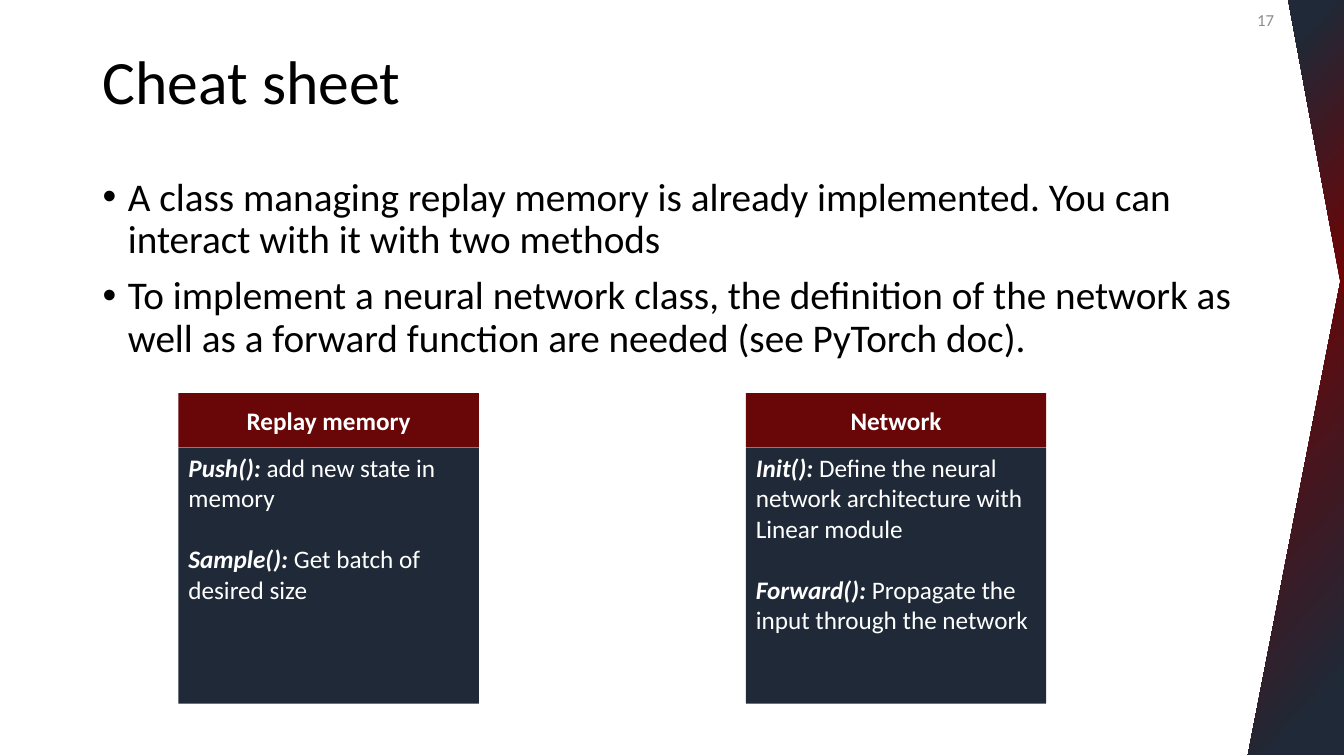
"""Build the cheat sheet slide on replay memory and network classes."""
from dataclasses import dataclass

from lxml import etree
from pptx import Presentation
from pptx.dml.color import RGBColor
from pptx.enum.shapes import MSO_SHAPE
from pptx.enum.text import MSO_ANCHOR, MSO_AUTO_SIZE, PP_ALIGN
from pptx.oxml.ns import qn
from pptx.util import Inches, Pt

RECTANGLE, TRIANGLE = MSO_SHAPE.RECTANGLE, MSO_SHAPE.ISOSCELES_TRIANGLE
TOP, MIDDLE = MSO_ANCHOR.TOP, MSO_ANCHOR.MIDDLE
LEFT, CENTER, RIGHT = PP_ALIGN.LEFT, PP_ALIGN.CENTER, PP_ALIGN.RIGHT
NO_AUTOFIT = MSO_AUTO_SIZE.NONE
TITLE_ONLY = 5
FONT = "Calibri"
COLORS = {
    "ink": "000000", "paper": "FFFFFF", "number": "8C8C8C",
    "navy": "1F2937", "header": "680608", "glow": "740000",
}
WIDTH, HEIGHT = Inches(13.33), Inches(7.5)


@dataclass(frozen=True)
class Area:
    """Place on the slide in percent of its width and height."""
    left: float
    top: float
    width: float
    height: float

    def box(self) -> tuple[int, int, int, int]:
        """Return the place in slide units."""
        return (int(WIDTH * self.left / 100), int(HEIGHT * self.top / 100),
                int(WIDTH * self.width / 100), int(HEIGHT * self.height / 100))


@dataclass(frozen=True)
class Wedge:
    """Gradient triangle on the right edge."""
    area: Area
    apex: float
    rotation: float


@dataclass(frozen=True)
class Card:
    """Class name with its methods and their descriptions."""
    left: float
    name: str
    methods: tuple[tuple[str, str], ...]


CARD_WIDTH, CARD_TOP, HEADER_HEIGHT, DETAILS_HEIGHT = 22.35, 52, 7.2, 33.87
TITLE_AREA = Area(6.9, 1.47, 86.25, 19.33)
NUMBER_AREA = Area(73.05, 0, 22.5, 5.33)
POINTS_AREA = Area(6.9, 22.8, 86.25, 74.13)
WEDGES = (
    Wedge(Area(92.85, 34.93, 7.13, 64.93), 1, 0),
    Wedge(Area(95.85, 0, 4.17, 40.13), 0, 180),
)
POINTS = (
    "A class managing replay memory is already implemented. "
    "You can interact with it with two methods",
    "To implement a neural network class, the definition of the network "
    "as well as a forward function are needed (see PyTorch doc).",
)
CARDS = (
    Card(13.28, "Replay memory", (
        ("Push(): ", "add new state in memory"),
        ("Sample(): ", "Get batch of desired size"),
    )),
    Card(55.5, "Network", (
        ("Init(): ", "Define the neural network architecture with Linear module"),
        ("Forward(): ", "Propagate the input through the network"),
    )),
)


def rgb(name: str) -> RGBColor:
    """Return a named colour."""
    return RGBColor.from_string(COLORS[name])


def add_run(paragraph, text: str, size: float, color: str,
            bold: bool = False, italic: bool = False) -> None:
    """Add one formatted run."""
    run = paragraph.add_run()
    run.text = text
    run.font.name, run.font.size = FONT, Pt(size)
    run.font.bold, run.font.italic = bold, italic
    run.font.color.rgb = rgb(color)


def prepare(frame, anchor, align):
    """Set up a text frame and return its first paragraph."""
    frame.word_wrap, frame.auto_size = True, NO_AUTOFIT
    frame.vertical_anchor = anchor
    first = frame.paragraphs[0]
    first.alignment = align
    return first


def add_bullet(paragraph) -> None:
    """Give a paragraph a hanging round bullet."""
    properties = paragraph._p.get_or_add_pPr()
    properties.set("marL", str(Inches(0.25)))
    properties.set("indent", str(-Inches(0.25)))
    etree.SubElement(properties, qn("a:buFont")).set("typeface", "Arial")
    etree.SubElement(properties, qn("a:buChar")).set("char", "•")


def add_plain_shape(slide, kind, area: Area):
    """Add a shape without line or shadow."""
    shape = slide.shapes.add_shape(kind, *area.box())
    shape.shadow.inherit = False
    shape.line.fill.background()
    return shape


def add_wedge(slide, wedge: Wedge) -> None:
    """Draw one edge triangle."""
    triangle = add_plain_shape(slide, TRIANGLE, wedge.area)
    triangle.adjustments[0] = wedge.apex
    triangle.rotation = wedge.rotation
    triangle.fill.gradient()
    triangle.fill.gradient_angle = 318
    stops = ((0, "glow"), (0.88, "navy"))
    for stop, (position, color) in zip(triangle.fill.gradient_stops, stops):
        stop.position = position
        stop.color.rgb = rgb(color)


def add_panel(slide, area: Area, color: str, anchor, align):
    """Draw a filled panel and return its text frame."""
    panel = add_plain_shape(slide, RECTANGLE, area)
    panel.fill.solid()
    panel.fill.fore_color.rgb = rgb(color)
    prepare(panel.text_frame, anchor, align)
    return panel.text_frame


def add_card(slide, card: Card) -> None:
    """Draw a class card."""
    details_area = Area(card.left, CARD_TOP + HEADER_HEIGHT, CARD_WIDTH, DETAILS_HEIGHT)
    details = add_panel(slide, details_area, "navy", TOP, LEFT)
    for index, (method, description) in enumerate(card.methods):
        entry = details.add_paragraph() if index else details.paragraphs[0]
        entry.alignment = LEFT
        entry.space_before = Pt(22 if index else 0)
        add_run(entry, method, 18, "paper", bold=True, italic=True)
        add_run(entry, description, 18, "paper")
    header_area = Area(card.left, CARD_TOP, CARD_WIDTH, HEADER_HEIGHT)
    header = add_panel(slide, header_area, "header", MIDDLE, CENTER)
    add_run(header.paragraphs[0], card.name, 18, "paper", bold=True)


def add_title(slide, text: str) -> None:
    """Place and format the title."""
    title = slide.shapes.title
    title.left, title.top, title.width, title.height = TITLE_AREA.box()
    heading = prepare(title.text_frame, MIDDLE, LEFT)
    heading.line_spacing = 0.9
    add_run(heading, text, 44, "ink")


def add_number(slide, text: str) -> None:
    """Write the page number."""
    number = slide.shapes.add_textbox(*NUMBER_AREA.box())
    add_run(prepare(number.text_frame, MIDDLE, RIGHT), text, 12, "number")


def add_points(slide) -> None:
    """Write the bulleted points."""
    frame = slide.shapes.add_textbox(*POINTS_AREA.box()).text_frame
    prepare(frame, TOP, LEFT)
    for index, text in enumerate(POINTS):
        point = frame.add_paragraph() if index else frame.paragraphs[0]
        point.line_spacing, point.space_before = 0.9, Pt(10)
        add_bullet(point)
        add_run(point, text, 28, "ink")


def main() -> None:
    """Build and save the slide."""
    deck = Presentation()
    deck.slide_width, deck.slide_height = WIDTH, HEIGHT
    slide = deck.slides.add_slide(deck.slide_layouts[TITLE_ONLY])
    for wedge in WEDGES:
        add_wedge(slide, wedge)
    add_title(slide, "Cheat sheet")
    add_number(slide, "17")
    add_points(slide)
    for card in CARDS:
        add_card(slide, card)
    deck.save("out.pptx")


if __name__ == "__main__":
    main()
